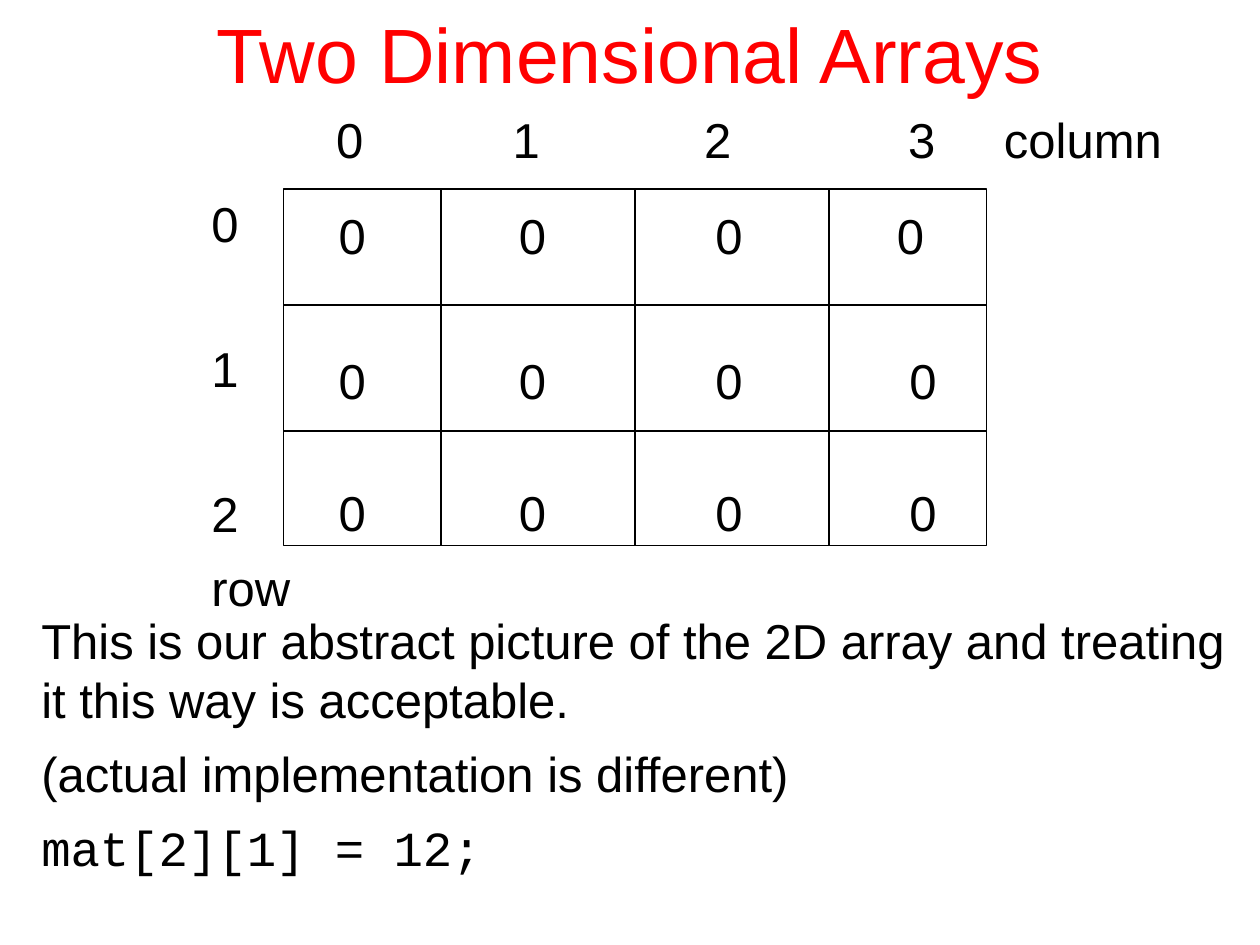
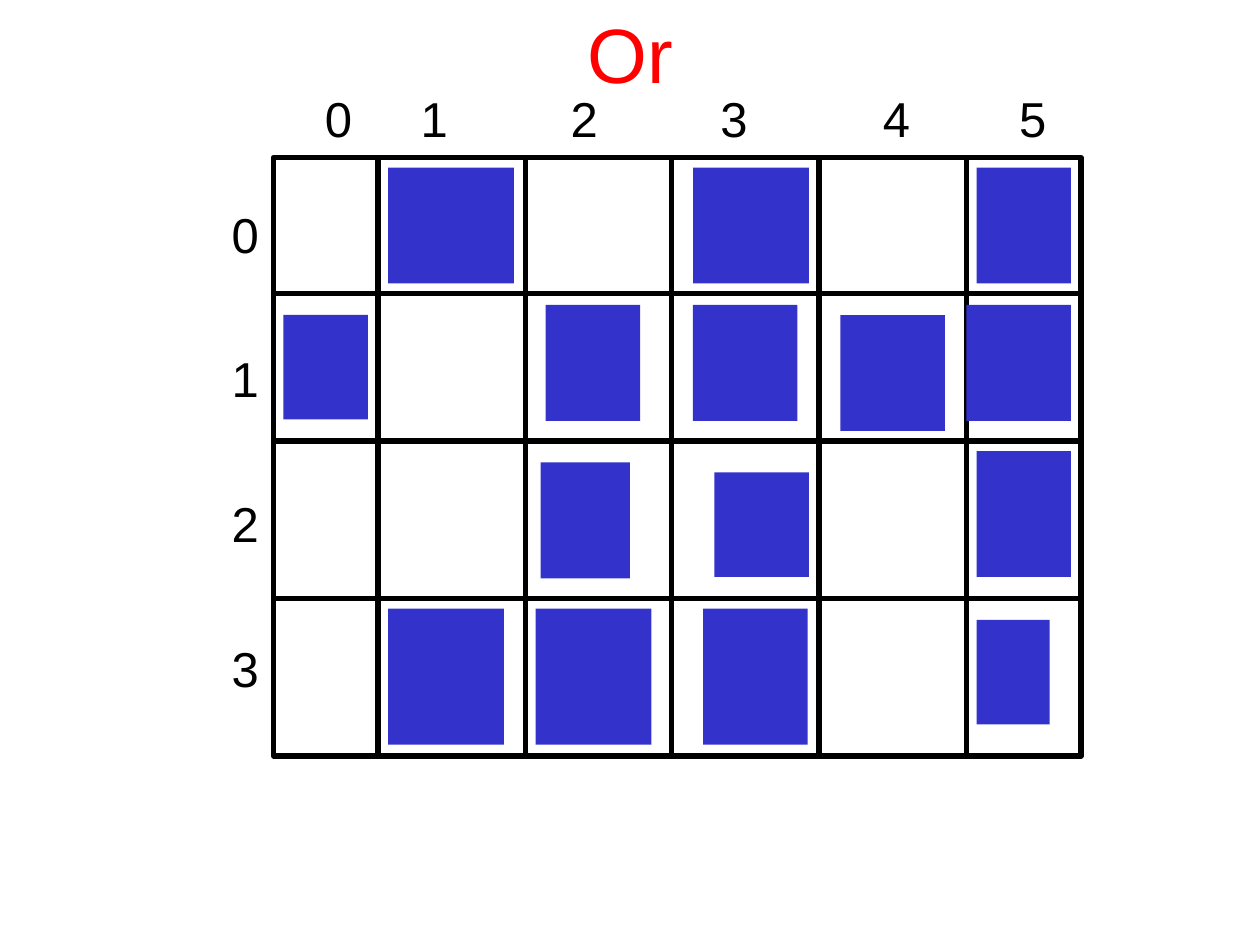
from lxml.etree import SubElement
from pptx import Presentation
from pptx.dml.color import RGBColor
from pptx.enum.shapes import MSO_CONNECTOR as CONN, MSO_SHAPE as SHAPE
from pptx.enum.text import MSO_ANCHOR as ANCHOR, MSO_AUTO_SIZE as AUTO, PP_ALIGN as ALIGN
from pptx.oxml.ns import qn
from pptx.util import Inches, Pt

COLORS = {"title": "FF0000", "ink": "000000", "tile": "3333CC"}
rgb = {name: RGBColor.from_string(value) for name, value in COLORS.items()}
FONT, CODE_FONT = "Arial", "Courier New"
LINE_GAP, ROW_GAP = 8.5, 49.2


def add_text(s, left, top, width, height, lines):
    tf = s.shapes.add_textbox(*map(Inches, (left, top, width, height))).text_frame
    tf.word_wrap = True
    for i, (text, gap, tabs, font) in enumerate(lines):
        p = tf.paragraphs[0] if i == 0 else tf.add_paragraph()
        p.text = text
        p.space_before = Pt(gap)
        if tabs:
            tab_list = SubElement(p._p.get_or_add_pPr(), qn("a:tabLst"))
            for x in tabs:
                SubElement(tab_list, qn("a:tab"), pos=str(Inches(x)), algn="l")
        p.font.name = font
        p.font.size = Pt(28)
        p.font.color.rgb = rgb["ink"]


def add_grid(s, left, top, right, bottom, xs, ys, weight):
    shapes = s.shapes.add_group_shape().shapes
    frame = shapes.add_shape(SHAPE.RECTANGLE, *map(Inches, (left, top, right - left, bottom - top)))
    frame.shadow.inherit = False
    frame.fill.background()
    frame.line.color.rgb = rgb["ink"]
    frame.line.width = Pt(weight)
    ends = [(x, top, x, bottom) for x in xs] + [(left, y, right, y) for y in ys]
    for x1, y1, x2, y2 in ends:
        line = shapes.add_connector(CONN.STRAIGHT, *map(Inches, (x1, y1, x2, y2)))
        line.line.color.rgb = rgb["ink"]
        line.line.width = Pt(weight)
        SubElement(line._element.spPr, qn("a:effectLst"))
        if x1 == x2 and abs(2 * x1 - left - right) < 0.01:
            line.begin_connect(frame, 0)
            line.end_connect(frame, 2)


prs = Presentation()
prs.slide_width, prs.slide_height = Inches(10), Inches(7.5)

slides = []
for title in ("Two Dimensional Arrays", "Or"):
    s = prs.slides.add_slide(prs.slide_layouts[5])
    sp = s.shapes.title
    sp.left, sp.top, sp.width, sp.height = map(Inches, (0.75, 0, 8.5, 0.83))
    tf = sp.text_frame
    tf.text = title
    tf.auto_size = AUTO.NONE
    tf.vertical_anchor = ANCHOR.MIDDLE
    p = tf.paragraphs[0]
    p.alignment = ALIGN.CENTER
    p.font.name = FONT
    p.font.size = Pt(44)
    p.font.color.rgb = rgb["title"]
    slides.append(s)
array_slide, tile_slide = slides

add_grid(array_slide, 2.25, 1.5, 7.83, 4.33, (3.5, 5.04, 6.58), (2.42, 3.42), 0.75)
add_text(array_slide, 2.57, 0.82, 6.9, 0.57,
         [("0\t1\t2\t3\tcolumn", 0, (1.4, 2.92, 4.54, 5.3), FONT)])
add_text(array_slide, 1.58, 1.49, 0.95, 3.38, [
    ("0", 0, (), FONT),
    ("1", ROW_GAP, (), FONT),
    ("2", ROW_GAP, (), FONT),
    ("row", LINE_GAP, (), FONT),
])
add_text(array_slide, 2.59, 1.58, 5.1, 2.73, [
    ("0\t0\t0\t0", gap, (1.43, 2.99, last), FONT)
    for gap, last in ((0, 4.43), (ROW_GAP, 4.53), (42, 4.53))
])
add_text(array_slide, 0.23, 4.8, 9.7, 2.16, [
    ("This is our abstract picture of the 2D array and treating\vit this way is acceptable.",
     0, (), FONT),
    ("(actual implementation is different)", LINE_GAP, (), FONT),
    ("mat[2][1] = 12;", LINE_GAP, (), CODE_FONT),
])

add_grid(tile_slide, 2.17, 1.25, 8.58, 6, (3, 4.17, 5.33, 6.5, 7.67), (2.33, 3.5, 4.75), 3)
add_grid(tile_slide, 3, 1.25, 4.17, 2.33, (), (), 3)
add_text(tile_slide, 2.48, 0.65, 6.1, 0.57,
         [("0\t1\t2\t3\t4\t5", 0, (0.76, 1.95, 3.14, 4.43, 5.51), FONT)])
add_text(tile_slide, 1.74, 1.57, 0.45, 3.95,
         [(str(row), ROW_GAP if row else 0, (), FONT) for row in range(4)])

tiles = [
    (3.08, 1.33, 1, 0.92), (5.5, 1.33, 0.92, 0.92), (7.75, 1.33, 0.75, 0.92),
    (2.25, 2.5, 0.67, 0.83), (4.33, 2.42, 0.75, 0.92), (5.5, 2.42, 0.83, 0.92),
    (6.67, 2.5, 0.83, 0.92), (7.67, 2.42, 0.83, 0.92),
    (4.29, 3.67, 0.71, 0.92), (5.67, 3.75, 0.75, 0.83), (7.75, 3.58, 0.75, 1),
    (3.08, 4.83, 0.92, 1.08), (4.25, 4.83, 0.92, 1.08), (5.58, 4.83, 0.83, 1.08),
    (7.75, 4.92, 0.58, 0.83),
]
for tile in tiles:
    sp = tile_slide.shapes.add_shape(SHAPE.RECTANGLE, *map(Inches, tile))
    sp.shadow.inherit = False
    sp.fill.solid()
    sp.fill.fore_color.rgb = rgb["tile"]
    sp.line.fill.background()

prs.save("out.pptx")
